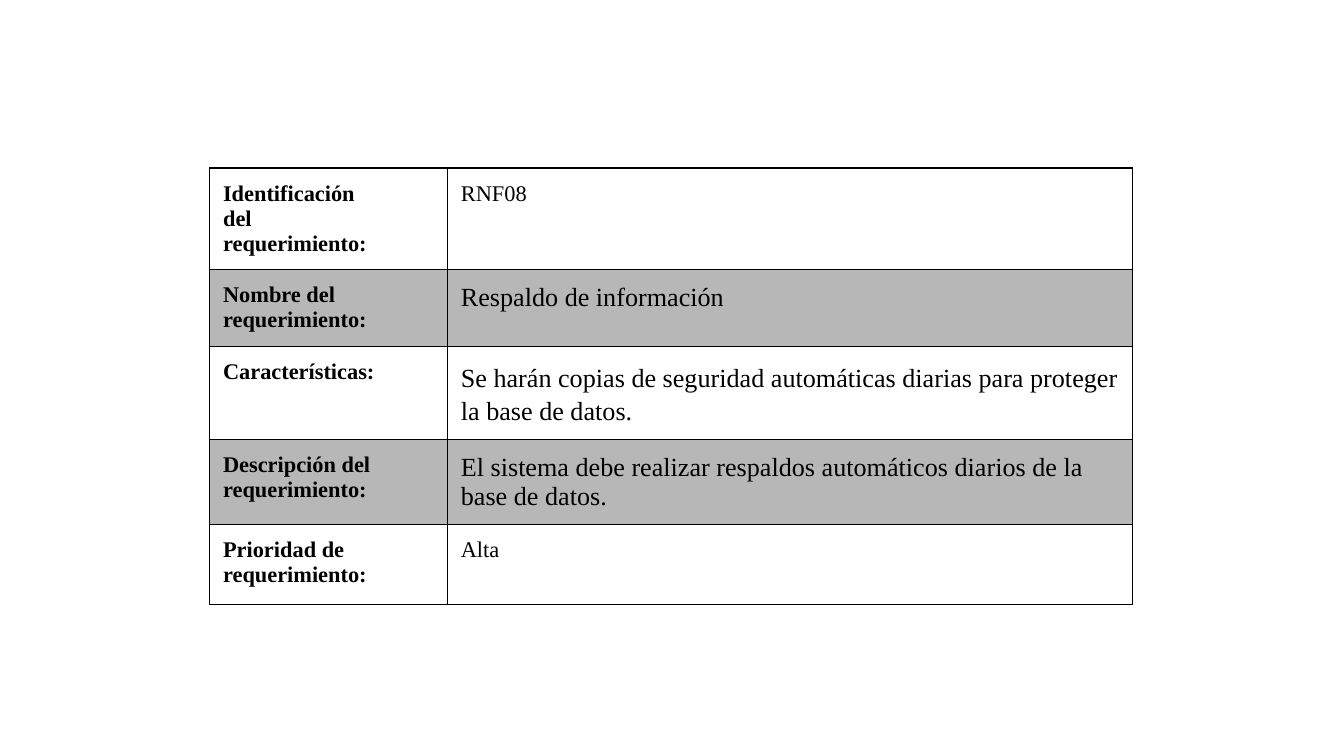
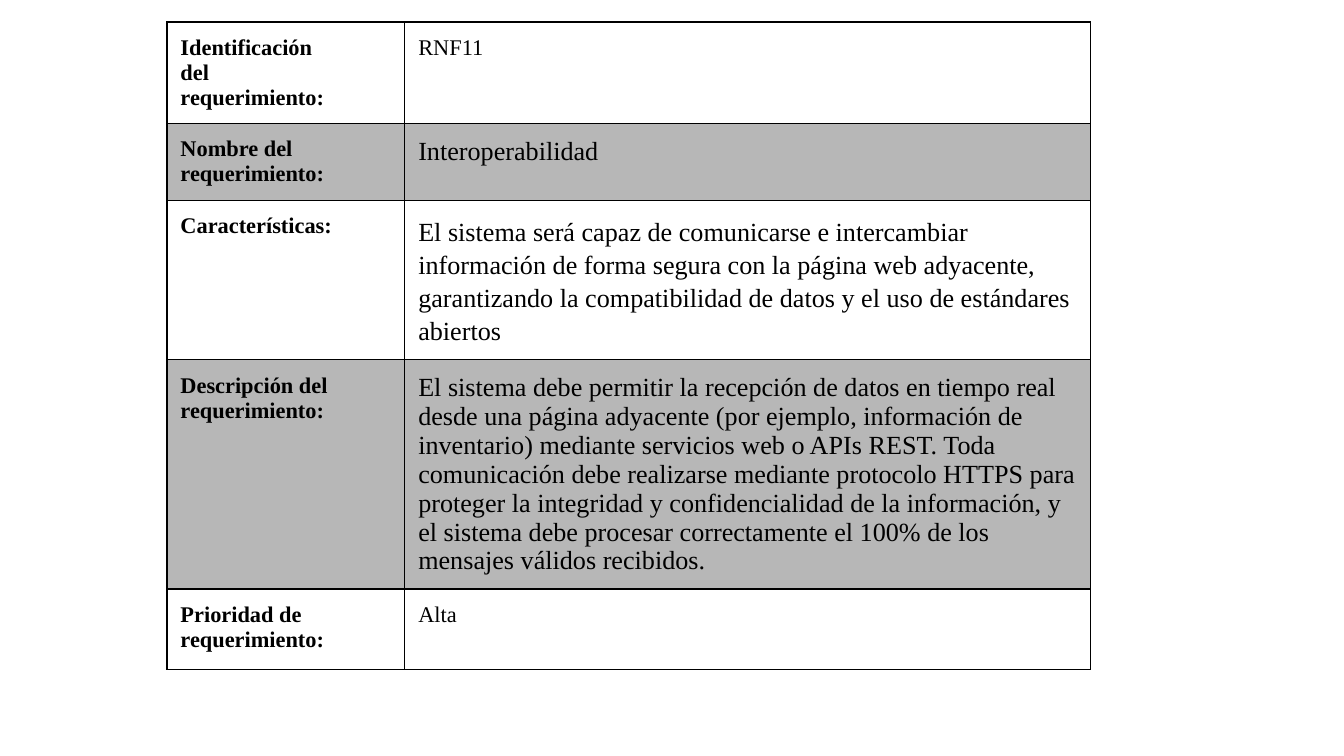
from lxml import etree
from pptx import Presentation
from pptx.dml.color import RGBColor
from pptx.oxml import ns
from pptx.util import Pt

BLACK = RGBColor(0x00, 0x00, 0x00)
GREY = RGBColor(0xB7, 0xB7, 0xB7)

LABELS = [
    ["Identificación", "del", "requerimiento:"],
    ["Nombre del", "requerimiento:"],
    ["Características:"],
    ["Descripción del", "requerimiento:"],
    ["Prioridad de", "requerimiento:"],
]
COLUMNS = (127.4, 367.2)
ROWS = (30.2, 30.2, 30.2, 30.2, 43)
LABEL = dict(size=Pt(12), bold=True)
SHORT = dict(size=Pt(12), bold=False)
LONG = dict(size=Pt(14), bold=False)
VALUE_FONTS = (SHORT, LONG, LONG, LONG, SHORT)
VALUE_SPACING = (1, 1, 1.15, 1, 1)

REQUIREMENTS = [
    (112.3, 90, [
        "RNF08",
        "Respaldo de información",
        "Se harán copias de seguridad automáticas diarias para proteger la base de datos.",
        "El sistema debe realizar respaldos automáticos diarios de la base de datos.",
        "Alta",
    ]),
    (89.5, 11.8, [
        "RNF11",
        "Interoperabilidad",
        "El sistema será capaz de comunicarse e intercambiar información de forma segura "
        "con la página web adyacente, garantizando la compatibilidad de datos y el uso de "
        "estándares abiertos",
        "El sistema debe permitir la recepción de datos en tiempo real desde una página "
        "adyacente (por ejemplo, información de inventario) mediante servicios web o APIs "
        "REST. Toda comunicación debe realizarse mediante protocolo HTTPS para proteger la "
        "integridad y confidencialidad de la información, y el sistema debe procesar "
        "correctamente el 100% de los mensajes válidos recibidos.",
        "Alta",
    ]),
]


class Deck:
    """Holds the shared style and the current slide."""

    font = dict(name="Times New Roman")
    margins = dict.fromkeys(
        ("margin_left", "margin_right", "margin_top", "margin_bottom"), Pt(7.2))
    border = Pt(0.75)

    def __init__(self, width, height):
        self.prs = Presentation()
        self.prs.slide_width, self.prs.slide_height = Pt(width), Pt(height)

    def slide(self):
        self.s = self.prs.slides.add_slide(self.prs.slide_layouts[6])

    def borders(self, cell):
        tcPr = cell._tc.get_or_add_tcPr()
        for side in ("a:lnL", "a:lnR", "a:lnT", "a:lnB"):
            ln = etree.SubElement(tcPr, ns.qn(side), w=str(self.border))
            fill = etree.SubElement(ln, ns.qn("a:solidFill"))
            etree.SubElement(fill, ns.qn("a:srgbClr"), val=str(BLACK))

    def cell(self, cell, lines, font, fill=None, spacing=1):
        for key, value in self.margins.items():
            setattr(cell, key, value)
        self.borders(cell)
        if fill is None:
            cell.fill.background()
        else:
            cell.fill.solid()
            cell.fill.fore_color.rgb = fill
        tf = cell.text_frame
        tf.text = "\n".join(lines)
        for p in tf.paragraphs:
            p.line_spacing = spacing
            for r in p.runs:
                for key, value in {**self.font, **font}.items():
                    setattr(r.font, key, value)
                r.font.color.rgb = BLACK

    def requirement(self, left, top, values):
        table = self.s.shapes.add_table(
            len(ROWS), len(COLUMNS), Pt(left), Pt(top),
            Pt(sum(COLUMNS)), Pt(sum(ROWS))).table
        table.first_row = table.horz_banding = False
        for column, width in zip(table.columns, COLUMNS):
            column.width = Pt(width)
        for i, (row, height) in enumerate(zip(table.rows, ROWS)):
            row.height = Pt(height)
            fill = GREY if i % 2 else None
            self.cell(row.cells[0], LABELS[i], LABEL, fill)
            self.cell(row.cells[1], [values[i]], VALUE_FONTS[i], fill, VALUE_SPACING[i])


def main():
    deck = Deck(720, 405)
    for left, top, values in REQUIREMENTS:
        deck.slide()
        deck.requirement(left, top, values)
    deck.prs.save("out.pptx")


if __name__ == "__main__":
    main()
